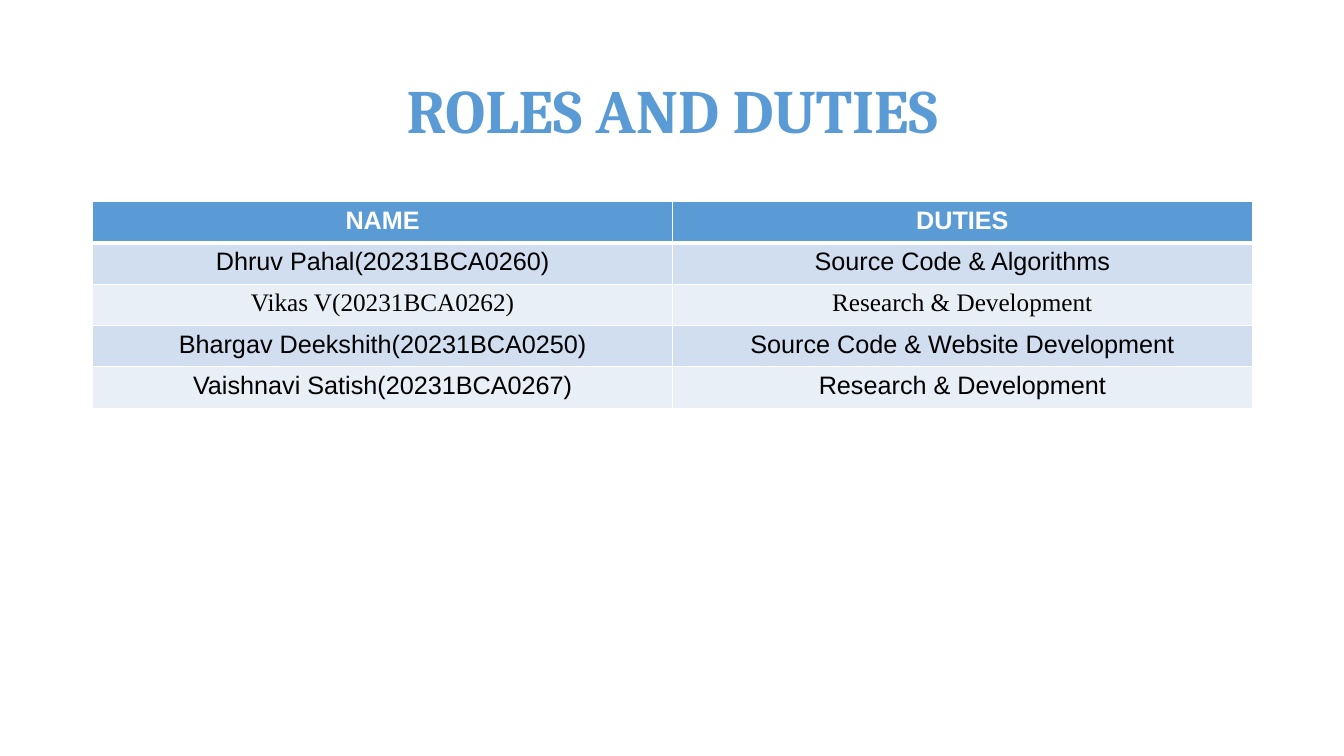
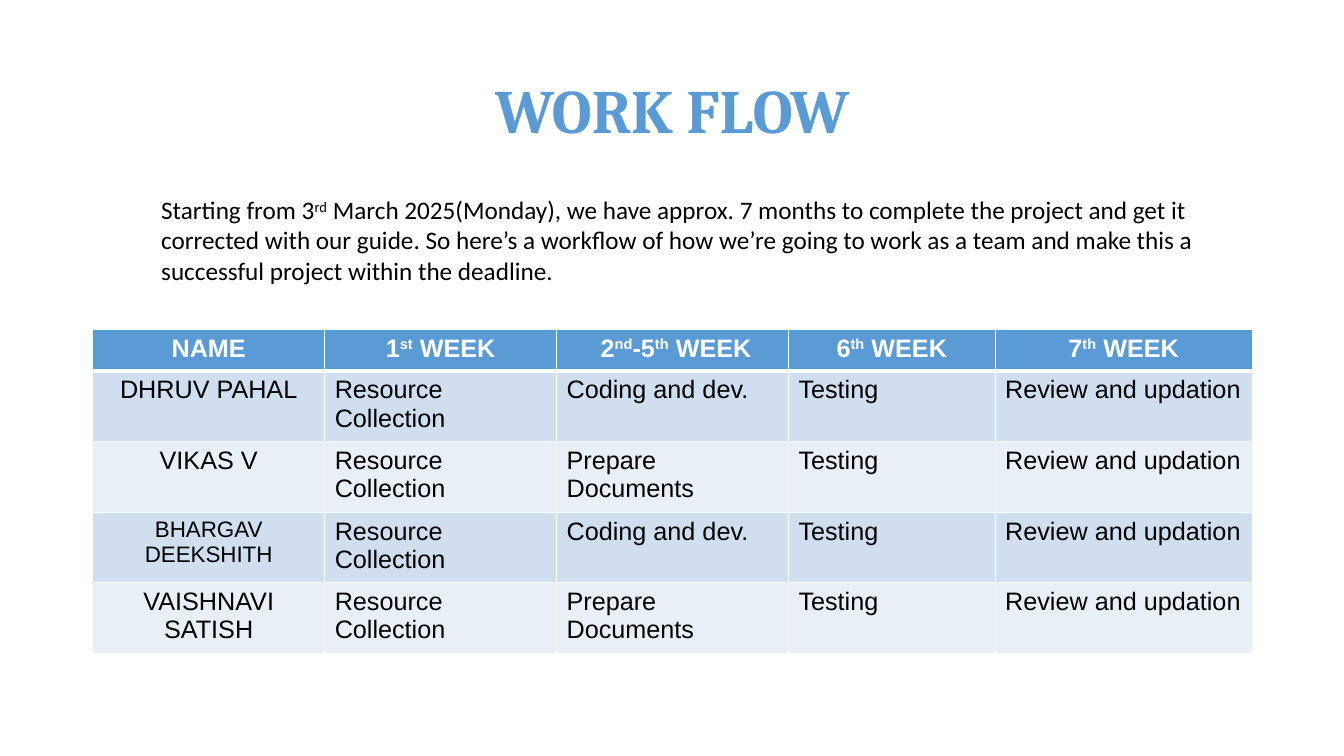
from dataclasses import dataclass

import pptx
import pptx.dml.color
import pptx.enum.text
import pptx.oxml
import pptx.oxml.ns
import pptx.util
from pptx.util import Inches

# Shared style
BLUE, WHITE, BLACK = "5B9BD5", "FFFFFF", "000000"
BANDS = ("D0DEEF", "E9EFF7")
LEFT = pptx.enum.text.PP_ALIGN.LEFT
CENTER = pptx.enum.text.PP_ALIGN.CENTER
TITLE_FORMAT = {"name": "Cambria", "size": pptx.util.Pt(44), "bold": True}
INTRO_FORMAT = {"name": "Calibri", "size": pptx.util.Pt(18), "bold": False}
HEADER_FORMAT = {"name": "Arial", "size": pptx.util.Pt(18), "bold": True}
BODY_FORMAT = {**HEADER_FORMAT, "bold": False}
TABLE_LEFT, ROW_HEIGHT = 0.92, 0.41
THIN, THICK = 1, 3


@dataclass
class TableContent:
    top: float
    column_widths: list[float]
    header: list[str]
    rows: list[list[str]]
    centered_columns: int
    row_formats: dict[int, dict]
    name_formats: dict[int, dict]


def rgb(color: str) -> pptx.dml.color.RGBColor:
    return pptx.dml.color.RGBColor.from_string(color)


def write_text(text_frame, text: str, font_format: dict, color: str, alignment) -> None:
    """Write one paragraph; parts between ^ marks are superscript."""
    paragraph = text_frame.paragraphs[0]
    paragraph.alignment = alignment
    for index, part in enumerate(text.split("^")):
        run = paragraph.add_run()
        run.text = part
        for attribute, value in font_format.items():
            setattr(run.font, attribute, value)
        run.font.color.rgb = rgb(color)
        if index % 2:
            run._r.get_or_add_rPr().set("baseline", "30000")


def add_text(slide, box: tuple, text: str, font_format: dict, color: str, alignment):
    text_box = slide.shapes.add_textbox(*map(Inches, box))
    text_box.text_frame.word_wrap = True
    write_text(text_box.text_frame, text, font_format, color, alignment)
    return text_box.text_frame


def add_title(slide, text: str) -> None:
    frame = add_text(slide, (2.17, 0.5, 9, 1.25), text, TITLE_FORMAT, BLUE, CENTER)
    frame.vertical_anchor = pptx.enum.text.MSO_ANCHOR.MIDDLE
    frame.paragraphs[0].line_spacing = 0.9


def set_borders(cell, top: float, bottom: float) -> None:
    properties = cell._tc.get_or_add_tcPr()
    for side, width in (("L", THIN), ("R", THIN), ("T", top), ("B", bottom)):
        properties.append(pptx.oxml.parse_xml(
            f'<a:ln{side} {pptx.oxml.ns.nsdecls("a")} w="{pptx.util.Pt(width)}">'
            f'<a:solidFill><a:srgbClr val="{WHITE}"/></a:solidFill></a:ln{side}>'))


def add_table(slide, content: TableContent) -> None:
    lines = [content.header, *content.rows]
    widths = content.column_widths
    table = slide.shapes.add_table(
        len(lines), len(widths), Inches(TABLE_LEFT), Inches(content.top),
        Inches(sum(widths)), Inches(ROW_HEIGHT * len(lines))).table
    table.horz_banding = False
    for column, width in zip(table.columns, widths):
        column.width = Inches(width)
    for row_index, line in enumerate(lines):
        table.rows[row_index].height = Inches(ROW_HEIGHT)
        is_header = row_index == 0
        fill = BLUE if is_header else BANDS[(row_index - 1) % 2]
        row_format = {**(HEADER_FORMAT if is_header else BODY_FORMAT),
                      **content.row_formats.get(row_index, {})}
        for column_index, text in enumerate(line):
            cell = table.cell(row_index, column_index)
            # Borders come before the fill in the cell properties
            set_borders(cell, THICK if row_index == 1 else THIN,
                        THICK if is_header else THIN)
            cell.fill.solid()
            cell.fill.fore_color.rgb = rgb(fill)
            cell_format = dict(row_format)
            if column_index == 0:
                cell_format.update(content.name_formats.get(row_index, {}))
            centered = is_header or column_index < content.centered_columns
            write_text(cell.text_frame, text, cell_format,
                       WHITE if is_header else BLACK, CENTER if centered else LEFT)


# Content
ROLES = TableContent(
    top=2, column_widths=[5.75, 5.75], header=["NAME", "DUTIES"],
    rows=[
        ["Dhruv Pahal(20231BCA0260)", "Source Code & Algorithms"],
        ["Vikas V(20231BCA0262)", "Research & Development"],
        ["Bhargav Deekshith(20231BCA0250)", "Source Code & Website Development"],
        ["Vaishnavi Satish(20231BCA0267)", "Research & Development"],
    ],
    centered_columns=2, row_formats={2: {"name": "Times New Roman"}}, name_formats={})

SECOND_TASKS = {
    "DHRUV PAHAL": "Coding and dev.",
    "VIKAS V": "Prepare Documents",
    "BHARGAV DEEKSHITH": "Coding and dev.",
    "VAISHNAVI SATISH": "Prepare Documents",
}
WORK_FLOW = TableContent(
    top=3.27, column_widths=[2.3, 2.3, 2.3, 2.05, 2.55],
    header=["NAME", "1^st^ WEEK", " 2^nd^-5^th^ WEEK", "6^th^ WEEK", "7^th^ WEEK"],
    rows=[[name, "Resource Collection", task, "Testing", "Review and updation"]
          for name, task in SECOND_TASKS.items()],
    centered_columns=1, row_formats={}, name_formats={3: {"size": pptx.util.Pt(16)}})

INTRO = ("Starting from 3^rd^ March 2025(Monday), we have approx. 7 months to complete "
         "the project and get it corrected with our guide. So here’s a workflow of how "
         "we’re going to work as a team and make this a successful project within the "
         "deadline.")


def main() -> None:
    presentation = pptx.Presentation()
    presentation.slide_width, presentation.slide_height = Inches(13.33), Inches(7.5)
    blank_layout = presentation.slide_layouts[6]

    # Roles and duties
    slide = presentation.slides.add_slide(blank_layout)
    add_title(slide, "ROLES AND DUTIES")
    add_table(slide, ROLES)

    # Work flow
    slide = presentation.slides.add_slide(blank_layout)
    add_title(slide, "WORK FLOW")
    add_table(slide, WORK_FLOW)
    add_text(slide, (1.5, 1.88, 10.55, 1.01), INTRO, INTRO_FORMAT, BLACK, LEFT)

    presentation.save("out.pptx")


if __name__ == "__main__":
    main()
